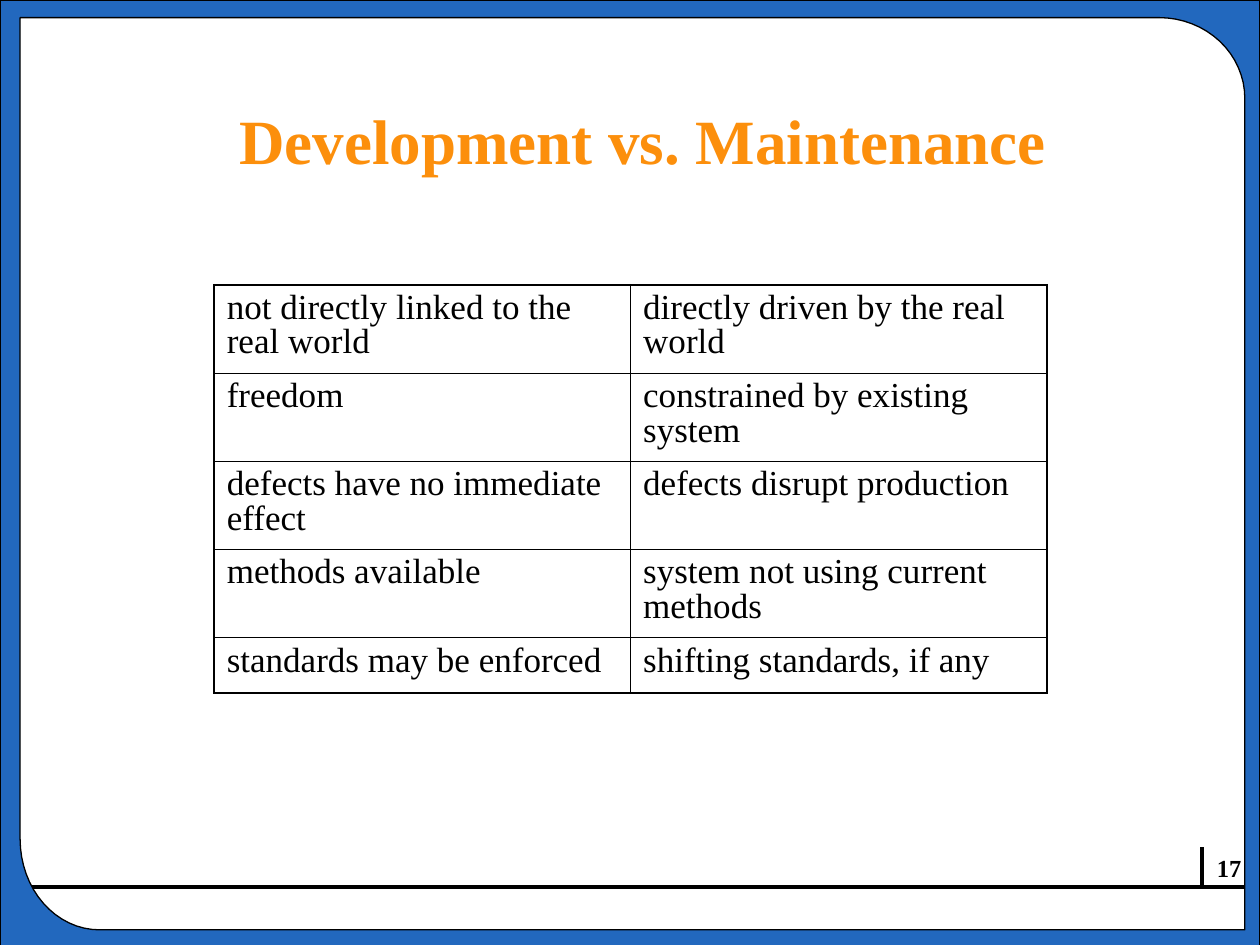
import math
from dataclasses import dataclass

import pptx
import pptx.dml.color
import pptx.enum.shapes
import pptx.enum.text
import pptx.oxml
import pptx.oxml.ns
import pptx.util
from pptx.util import Inches

ALIGN = pptx.enum.text.PP_ALIGN
ANCHOR = pptx.enum.text.MSO_ANCHOR


@dataclass(frozen=True)
class Theme:
    font: str = "Times New Roman"
    ink: str = "000000"
    paper: str = "FFFFFF"
    blue: str = "2268BE"
    orange: str = "FC8F0C"
    title_size: float = 36
    table_size: float = 20
    number_size: float = 14
    rule_width: float = 2.25
    frame_width: float = 0.75
    outer_border: float = 1.08
    inner_border: float = 0.45


THEME = Theme()

ROWS = [
    ("not directly linked to the real world", "directly driven by the real world"),
    ("freedom", "constrained by existing system"),
    ("defects have no immediate effect", "defects disrupt production"),
    ("methods available", "system not using current methods"),
    ("standards may be enforced", "shifting standards, if any"),
]
ROW_HEIGHTS = [0.7, 0.7, 0.7, 0.7, 0.44]


def color(value):
    return pptx.dml.color.RGBColor.from_string(value)


def write_text(frame, text, *, size, fill=THEME.ink, bold=False,
               align=ALIGN.LEFT, spacing=None, before=0):
    """Put one formatted paragraph into a text frame."""
    frame.word_wrap = True
    para = frame.paragraphs[0]
    para.alignment = align
    para.line_spacing = spacing
    para.space_before = pptx.util.Pt(before)
    span = para.add_run()
    span.text = text
    span.font.name = THEME.font
    span.font.size = pptx.util.Pt(size)
    span.font.bold = bold
    span.font.color.rgb = color(fill)


def style_shape(shape, fill=None, line=None, width=0):
    shape.shadow.inherit = False
    if fill:
        shape.fill.solid()
        shape.fill.fore_color.rgb = color(fill)
    else:
        shape.fill.background()
    if line:
        shape.line.color.rgb = color(line)
        shape.line.width = pptx.util.Pt(width)
    else:
        shape.line.fill.background()


def add_rectangle(page, box, **style):
    kind = pptx.enum.shapes.MSO_SHAPE.RECTANGLE
    style_shape(page.shapes.add_shape(kind, *map(Inches, box)), **style)


def add_rule(page, start, end):
    kind = pptx.enum.shapes.MSO_CONNECTOR.STRAIGHT
    rule = page.shapes.add_connector(kind, *map(Inches, start + end))
    rule.line.color.rgb = color(THEME.ink)
    rule.line.width = pptx.util.Pt(THEME.rule_width)
    rule._element.spPr.append(pptx.oxml.parse_xml(
        f'<a:effectLst {pptx.oxml.ns.nsdecls("a")}/>'))


def corner(center, radii, first_angle, steps=16):
    """Points of a clockwise quarter ellipse."""
    angles = [math.radians(first_angle + 90 * i / steps) for i in range(steps + 1)]
    return [(center[0] + radii[0] * math.cos(a), center[1] + radii[1] * math.sin(a))
            for a in angles]


def add_frame(page, box, opening):
    """Blue border whose opening has two rounded corners."""
    left, top, width, height = box
    inner_left, inner_top, inner_right, inner_bottom = opening
    right, bottom = left + width, top + height
    outer = [(left, top), (right, top), (right, bottom), (left, bottom)]
    inner = [(inner_left, inner_top)]
    inner += corner((inner_right - 0.68, inner_top + 0.64), (0.68, 0.64), 270)
    inner += [(inner_right, inner_bottom)]
    inner += corner((inner_left + 0.63, inner_bottom - 0.72), (0.63, 0.72), 90)

    # The builder rounds to whole units, so points are given in EMU
    outer, inner = ([(Inches(x), Inches(y)) for x, y in points]
                    for points in (outer, inner))
    builder = page.shapes.build_freeform(*outer[0])
    builder.add_line_segments(outer[1:], close=True)
    builder.move_to(*inner[0])
    builder.add_line_segments(inner[1:], close=True)
    style_shape(builder.convert_to_shape(), fill=THEME.blue,
                line=THEME.ink, width=THEME.frame_width)


def add_background(page, box):
    left, top, width, height = box
    add_rectangle(page, box, line=THEME.ink)
    add_rule(page, (left, 7.04), (left + width, 7.04))
    add_rule(page, (9.54, 7.04), (9.54, 6.72))
    add_frame(page, (left, top, width, height + 0.01), (0.16, 0.14, 9.88, 7.38))


def add_page_number(page, box, text):
    frame = page.shapes.add_textbox(*map(Inches, box)).text_frame
    write_text(frame, text, size=THEME.number_size, bold=True,
               align=ALIGN.RIGHT, before=8.8)


def add_title(page, box, text):
    title = page.shapes.title
    title.left, title.top, title.width, title.height = map(Inches, box)
    title.text_frame.vertical_anchor = ANCHOR.BOTTOM
    title.text_frame.auto_size = pptx.enum.text.MSO_AUTO_SIZE.NONE
    write_text(title.text_frame, text, size=THEME.title_size, fill=THEME.orange,
               bold=True, align=ALIGN.CENTER, spacing=0.8)


def set_borders(cell, outer_sides):
    """Draw all four cell borders, heavier on the table's outer sides."""
    properties = cell._tc.get_or_add_tcPr()
    for index, side in enumerate("LRTB"):
        points = THEME.outer_border if side in outer_sides else THEME.inner_border
        properties.insert(index, pptx.oxml.parse_xml(
            f'<a:ln{side} {pptx.oxml.ns.nsdecls("a")} w="{pptx.util.Pt(points)}">'
            f'<a:solidFill><a:srgbClr val="{THEME.ink}"/></a:solidFill></a:ln{side}>'))


def add_comparison(page, box):
    table = page.shapes.add_table(len(ROWS), 2, *map(Inches, box)).table
    table.first_row = table.horz_banding = False
    for row, height in zip(table.rows, ROW_HEIGHTS):
        row.height = Inches(height)
    for r, texts in enumerate(ROWS):
        for c, text in enumerate(texts):
            cell = table.cell(r, c)
            cell.fill.background()
            write_text(cell.text_frame, text, size=THEME.table_size,
                       spacing=0.9, before=11.2)
            outer_sides = "LR"[c]
            outer_sides += "T" if r == 0 else "B" if r == len(ROWS) - 1 else ""
            set_borders(cell, outer_sides)


def main():
    deck = pptx.Presentation()
    deck.slide_width, deck.slide_height = Inches(10), Inches(7.5)
    page = deck.slides.add_slide(deck.slide_layouts[5])

    # Border, rules and page number
    add_background(page, (0, 0, 10, 7.5))
    add_page_number(page, (9.06, 6.72, 0.89, 0.34), "17")

    # Title and comparison table
    add_title(page, (0.69, 0.66, 8.82, 0.79), "Development vs. Maintenance")
    add_comparison(page, (1.7, 2.26, 6.61, sum(ROW_HEIGHTS)))

    # Blank footer strip
    add_rectangle(page, (8.2, 7.11, 1.64, 0.23), fill=THEME.paper)
    deck.save("out.pptx")


if __name__ == "__main__":
    main()
